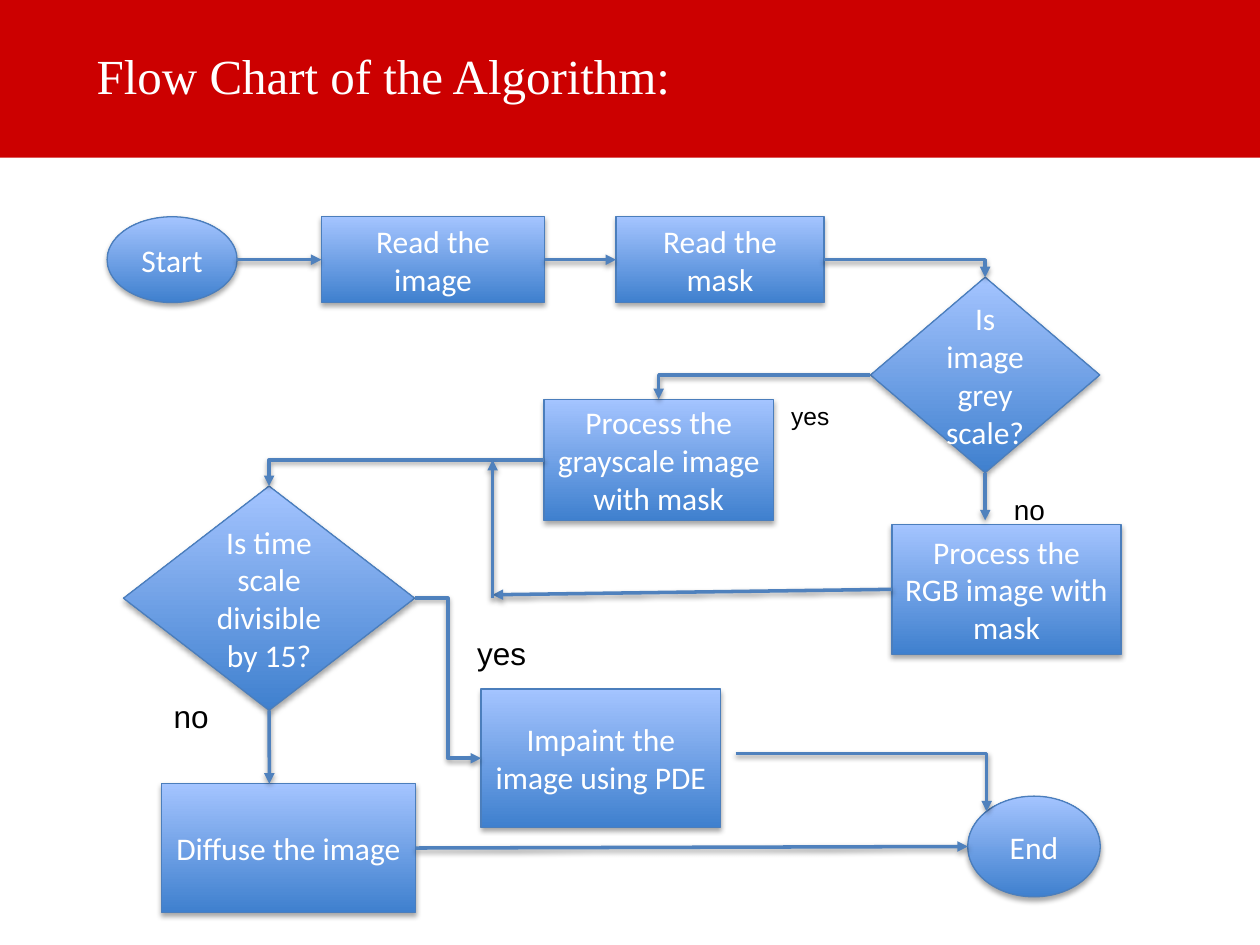
from lxml.etree import SubElement
from pptx import Presentation
from pptx.dml.color import RGBColor
from pptx.enum.shapes import MSO_CONNECTOR, MSO_SHAPE
from pptx.enum.text import MSO_ANCHOR, PP_ALIGN
from pptx.oxml.ns import qn
from pptx.util import Cm, Pt

NODES = {
    "start": (MSO_SHAPE.OVAL, 0.16, 0.37, 2.62, 1.73, "Start"),
    "read image": (MSO_SHAPE.RECTANGLE, 4.48, 0.37, 4.5, 1.73, "Read the image"),
    "read mask": (MSO_SHAPE.RECTANGLE, 10.42, 0.37, 4.19, 1.73, "Read the mask"),
    "grey test": (MSO_SHAPE.DIAMOND, 15.55, 1.59, 4.62, 3.94, "Is image grey scale?"),
    "grayscale": (MSO_SHAPE.RECTANGLE, 8.97, 4.05, 4.62, 2.44,
                  "Process the grayscale image with mask"),
    "rgb": (MSO_SHAPE.RECTANGLE, 15.98, 6.57, 4.62, 2.62,
            "Process the RGB image with mask"),
    "time test": (MSO_SHAPE.DIAMOND, 0.49, 5.8, 5.87, 4.52,
                  "Is time scale divisible by 15?"),
    "diffuse": (MSO_SHAPE.RECTANGLE, 1.25, 11.8, 5.13, 2.59, "Diffuse the image"),
    "impaint": (MSO_SHAPE.RECTANGLE, 7.7, 9.89, 4.83, 2.79,
                "Impaint the image using PDE"),
    "end": (MSO_SHAPE.OVAL, 17.51, 12.05, 2.67, 2.03, "End"),
}
TOP, LEFT, BOTTOM, RIGHT = range(4)
LINKS = [
    ("line", ("start", RIGHT), ("read image", LEFT)),
    ("line", ("read image", RIGHT), ("read mask", LEFT)),
    ("bentConnector2", ("read mask", RIGHT), ("grey test", TOP)),
    ("bentConnector2", ("grey test", LEFT), ("grayscale", TOP)),
    ("line", ("grey test", BOTTOM), (17.86, 6.49)),
    ("bentConnector2", ("grayscale", LEFT), ("time test", TOP)),
    ("line", ("rgb", LEFT), (7.93, 7.99)),
    ("line", (7.93, 8.06), (7.93, 5.27)),
    ("line", ("time test", BOTTOM), (3.43, 11.8)),
    ("bentConnector3", ("time test", RIGHT), ("impaint", LEFT)),
    ("line", ("diffuse", RIGHT), ("end", LEFT)),
    ("bentConnector2", (12.83, 11.19), (17.89, 12.36)),
]
LABELS = [
    (13.7, 3.95, 1.37, 0.86, "yes", 14),
    (18.19, 5.8, 1.96, 0.94, "no", 16),
    (7.37, 8.65, 2.46, 1.02, "yes", 18),
    (1.25, 9.92, 1.98, 1.02, "no", 18),
]


def color(value):
    """Turn a hex string into a colour."""
    return RGBColor.from_string(value)


def write(shape, text, font, align=PP_ALIGN.LEFT, anchor=MSO_ANCHOR.TOP):
    """Put one formatted paragraph into a shape."""
    frame = shape.text_frame
    frame.word_wrap = True
    frame.vertical_anchor = anchor
    para = frame.paragraphs[0]
    para.alignment = align
    span = para.add_run()
    span.text = text
    for name, value in font.items():
        if name == "color":
            span.font.color.rgb = color(value)
        else:
            setattr(span.font, name, value)


def add_shadow(shape, opacity, distance):
    """Give a shape or connector a soft black shadow straight below it."""
    properties = shape.element.spPr
    effects = properties.find(qn("a:effectLst"))
    if effects is None:
        effects = SubElement(properties, qn("a:effectLst"))
    shadow = SubElement(effects, qn("a:outerShdw"), blurRad=str(Pt(3.1)),
                        dist=str(Pt(distance)), dir="5400000", rotWithShape="0")
    black = SubElement(shadow, qn("a:srgbClr"), val="000000")
    SubElement(black, qn("a:alpha"), val=str(opacity * 1000))


def add_header(page, left, top, width, height):
    """Draw the red banner with the title."""
    banner = page.shapes.add_shape(MSO_SHAPE.RECTANGLE, left, top, width, height)
    banner.shadow.inherit = False
    banner.fill.solid()
    banner.fill.fore_color.rgb = color("CC0000")
    banner.line.fill.background()
    title = page.shapes.add_textbox(left + Cm(1.7), top - Cm(0.08), Cm(20.88), height)
    write(title, "Flow Chart of the Algorithm:",
          {"name": "Times New Roman", "size": Pt(28), "color": "FFFFFF"},
          anchor=MSO_ANCHOR.MIDDLE)


def add_node(page, kind, left, top, width, height, text):
    """Draw one step of the flow chart."""
    node = page.shapes.add_shape(kind, left, top, width, height)
    node.shadow.inherit = False
    node.fill.gradient()
    node.fill.gradient_angle = 90
    for stop, value in zip(node.fill.gradient_stops, ("3F80CE", "A4C4FF")):
        stop.color.rgb = color(value)
    node.line.color.rgb = color("4B7EBC")
    node.line.width = Pt(0.75)
    add_shadow(node, 35, 1.8)
    write(node, text, {"name": "Calibri", "size": Pt(18), "color": "FFFFFF"},
          PP_ALIGN.CENTER, MSO_ANCHOR.MIDDLE)
    return node


def side_point(node, side):
    """Return the middle of one side of a node."""
    across = {LEFT: 0, RIGHT: 1}.get(side, 0.5)
    down = {TOP: 0, BOTTOM: 1}.get(side, 0.5)
    return (int(node.left + across * node.width), int(node.top + down * node.height))


def add_link(page, geometry, start, finish):
    """Draw an arrow between two points."""
    straight = geometry == "line"
    kind = MSO_CONNECTOR.STRAIGHT if straight else MSO_CONNECTOR.ELBOW
    link = page.shapes.add_connector(kind, *start, *finish)
    link.element.spPr.find(qn("a:prstGeom")).set("prst", geometry)
    link.line.color.rgb = color("4F81BD")
    link.line.width = Pt(2)
    SubElement(link.line._get_or_add_ln(), qn("a:tailEnd"), type="triangle")
    add_shadow(link, 38, 1.6)
    return link


def add_flow_chart(page, left, top):
    """Draw the steps, arrows and answers from the given corner."""
    nodes = {}
    for name, (kind, x, y, width, height, text) in NODES.items():
        nodes[name] = add_node(page, kind, left + Cm(x), top + Cm(y),
                               Cm(width), Cm(height), text)
    for geometry, *ends in LINKS:
        points = [side_point(nodes[end[0]], end[1]) if end[0] in nodes
                  else (left + Cm(end[0]), top + Cm(end[1])) for end in ends]
        link = add_link(page, geometry, *points)
        for (name, side), connect in zip(ends, (link.begin_connect, link.end_connect)):
            if geometry == "line" and name in nodes and NODES[name][0] != MSO_SHAPE.OVAL:
                connect(nodes[name], side)
    for x, y, width, height, text, size in LABELS:
        label = page.shapes.add_textbox(left + Cm(x), top + Cm(y), Cm(width), Cm(height))
        write(label, text, {"name": "Arial", "size": Pt(size), "color": "000000"})


def main():
    """Build the slide and save it."""
    deck = Presentation()
    deck.slide_width, deck.slide_height = Cm(25.4), Cm(19.05)
    page = deck.slides.add_slide(deck.slide_layouts[6])
    add_header(page, 0, 0, deck.slide_width, Cm(3.18))
    add_flow_chart(page, Cm(2), Cm(4))
    deck.save("out.pptx")


if __name__ == "__main__":
    main()
